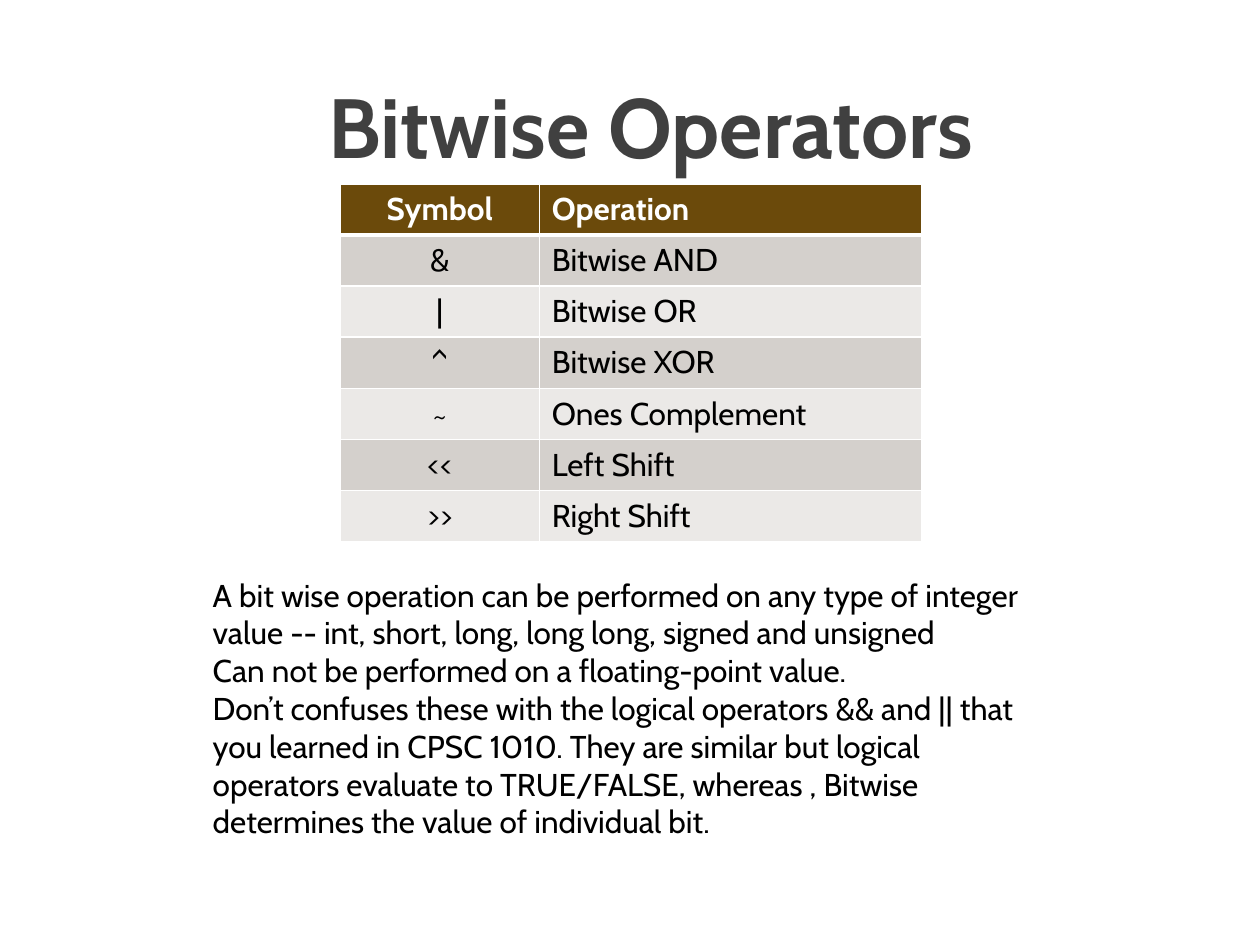
"""Build the Bitwise Operators slide with an operator table and explanatory text."""
import pptx
import pptx.dml.color
import pptx.enum.text
import pptx.oxml
import pptx.oxml.ns
import pptx.util

Pt = pptx.util.Pt
Align = pptx.enum.text.PP_ALIGN
Anchor = pptx.enum.text.MSO_ANCHOR
AutoSize = pptx.enum.text.MSO_AUTO_SIZE

THEME = {
    "font": "Cabin",
    "title_size": 48,
    "title_spacing": 52,
    "body_size": 18,
    "title": "404040",
    "text": "000000",
    "header_text": "FFFFFF",
    "header_fill": "6B4A0B",
    "bands": ["D4D0CC", "EBE9E7"],
    "border": "FFFFFF",
}

OPERATORS = [
    ("Symbol", "Operation"),
    ("&", "Bitwise AND"),
    ("|", "Bitwise OR"),
    ("^", "Bitwise XOR"),
    ("~", "Ones Complement"),
    ("<<", "Left Shift"),
    (">>", "Right Shift"),
]
NOTES = [
    "A bit wise operation can be performed on any type of integer value -- int, short, long, "
    "long long, signed and unsigned",
    "Can not be performed on a floating-point value.",
    "Don’t confuses these with the logical operators && and || that you learned in CPSC 1010. "
    "They are similar but logical operators evaluate to TRUE/FALSE, whereas , Bitwise "
    "determines the value of individual bit.",
]
COLUMN_WIDTHS = [113.8, 218.8]
ROW_HEIGHT = 29.2


def write_paragraph(paragraph, text, color, size, bold=False, alignment=Align.LEFT):
    paragraph.text = text
    paragraph.alignment = alignment
    paragraph.font.color.rgb = pptx.dml.color.RGBColor.from_string(color)
    font_format = {"name": THEME["font"], "size": Pt(size), "bold": bold}
    for name, value in font_format.items():
        setattr(paragraph.runs[0].font, name, value)
    paragraph.runs[0].font.color.rgb = pptx.dml.color.RGBColor.from_string(color)


def add_border(cell, side, width):
    cell._tc.get_or_add_tcPr().append(pptx.oxml.parse_xml(
        f'<a:ln{side} {pptx.oxml.ns.nsdecls("a")} w="{Pt(width)}"><a:solidFill>'
        f'<a:srgbClr val="{THEME["border"]}"/></a:solidFill></a:ln{side}>'
    ))


presentation = pptx.Presentation()
presentation.slide_width, presentation.slide_height = Pt(720), Pt(540)
slide = presentation.slides.add_slide(presentation.slide_layouts[6])

title = slide.shapes.add_textbox(Pt(85.7), Pt(21.6), Pt(572.4), Pt(105.1))
title_format = {"word_wrap": True, "vertical_anchor": Anchor.MIDDLE}
for name, value in title_format.items():
    setattr(title.text_frame, name, value)
title_paragraph = title.text_frame.paragraphs[0]
write_paragraph(title_paragraph, "Bitwise Operators", THEME["title"],
                THEME["title_size"], True, Align.CENTER)
title_paragraph.line_spacing = Pt(THEME["title_spacing"])

operator_table = slide.shapes.add_table(
    len(OPERATORS), len(COLUMN_WIDTHS), Pt(194.4), Pt(105.1),
    Pt(sum(COLUMN_WIDTHS)), Pt(ROW_HEIGHT * len(OPERATORS)),
).table
for column, width in zip(operator_table.columns, COLUMN_WIDTHS):
    column.width = Pt(width)
for row_index, labels in enumerate(OPERATORS):
    operator_table.rows[row_index].height = Pt(ROW_HEIGHT)
    header = row_index == 0
    fill = THEME["header_fill"] if header else THEME["bands"][(row_index - 1) % 2]
    color = THEME["header_text"] if header else THEME["text"]
    borders = {"L": 1, "R": 1, "T": 3 if row_index == 1 else 1, "B": 3 if header else 1}
    for column_index, label in enumerate(labels):
        cell = operator_table.cell(row_index, column_index)
        for side, width in borders.items():
            add_border(cell, side, width)
        cell.fill.solid()
        cell.fill.fore_color.rgb = pptx.dml.color.RGBColor.from_string(fill)
        alignment = Align.CENTER if column_index == 0 else Align.LEFT
        write_paragraph(cell.text_frame.paragraphs[0], label, color,
                        THEME["body_size"], header, alignment)

notes = slide.shapes.add_textbox(Pt(114.5), Pt(325.4), Pt(492.5), Pt(159.8))
notes_format = {"word_wrap": True, "auto_size": AutoSize.SHAPE_TO_FIT_TEXT}
for name, value in notes_format.items():
    setattr(notes.text_frame, name, value)
for index, text in enumerate(NOTES):
    paragraph = notes.text_frame.add_paragraph() if index else notes.text_frame.paragraphs[0]
    write_paragraph(paragraph, text, THEME["text"], THEME["body_size"])

presentation.save("out.pptx")
